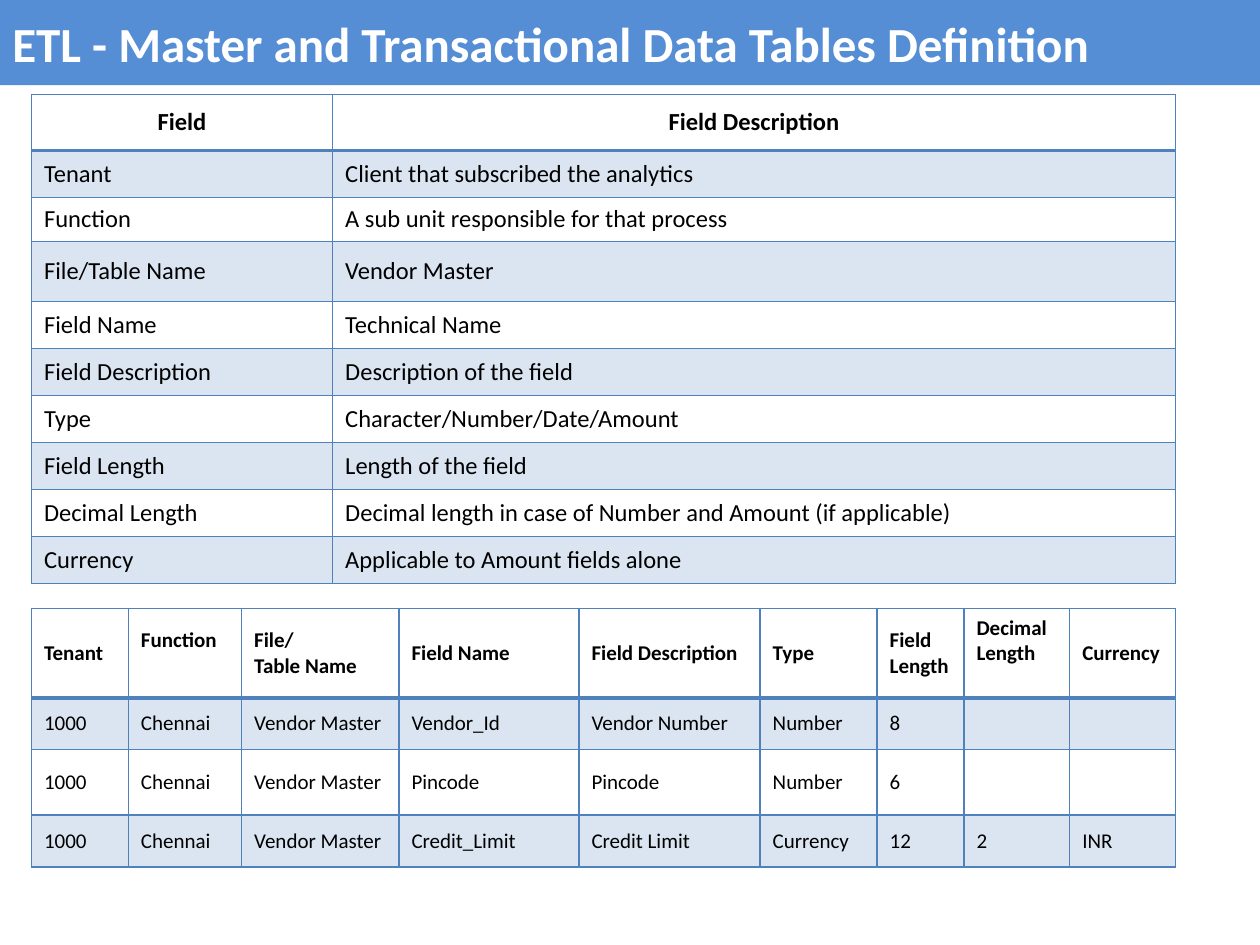
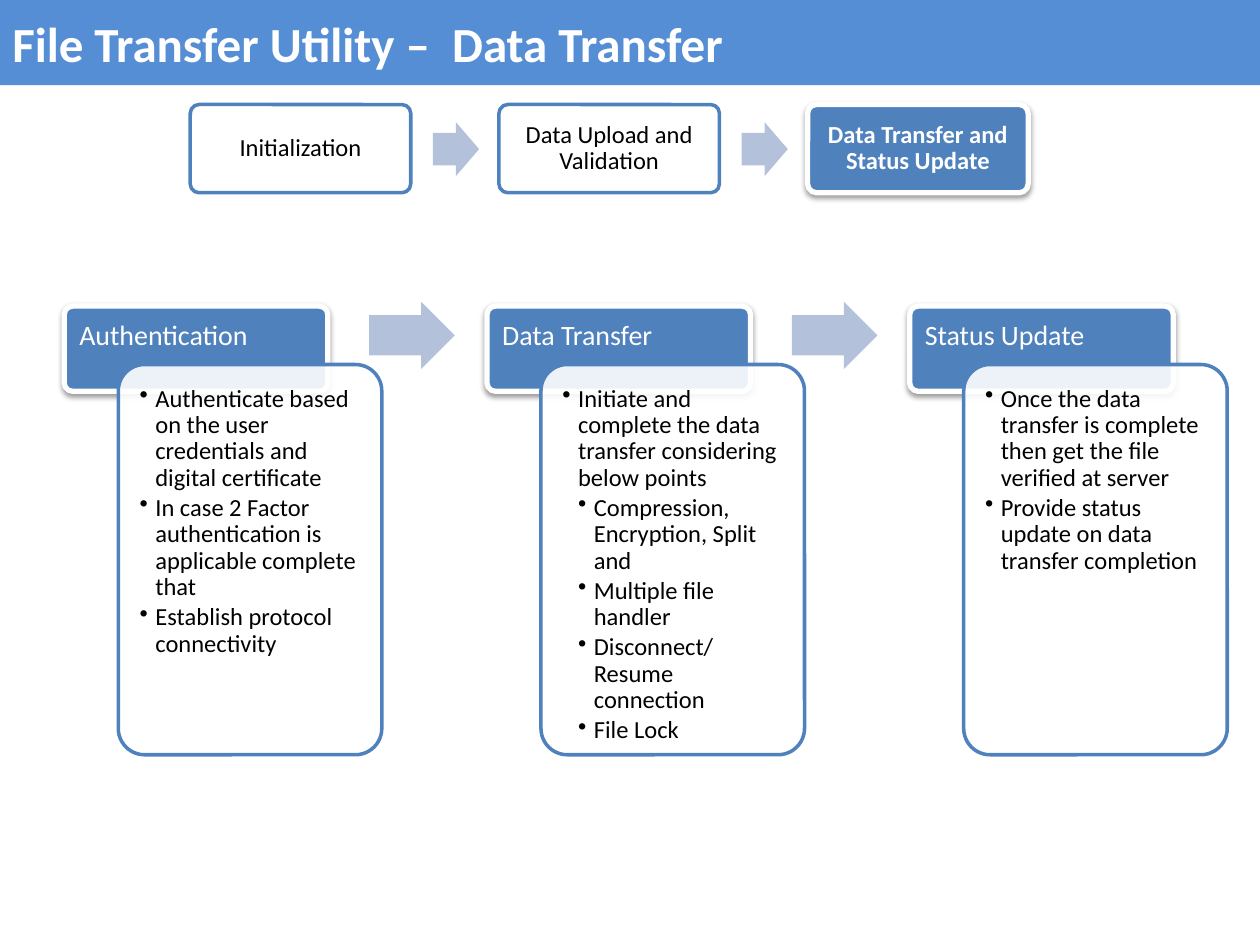
from typing import NamedTuple

from lxml.etree import SubElement
from pptx import Presentation
from pptx.dml.color import RGBColor
from pptx.enum.shapes import MSO_SHAPE
from pptx.enum.text import MSO_ANCHOR, PP_ALIGN
from pptx.oxml.ns import qn
from pptx.util import Inches, Pt

BAND = RGBColor(0x55, 0x8E, 0xD5)
ACCENT = RGBColor(0x4F, 0x81, 0xBD)
ARROW = RGBColor(0xB3, 0xC1, 0xDB)
WHITE = RGBColor(0xFF, 0xFF, 0xFF)
BLACK = RGBColor(0x00, 0x00, 0x00)
FONT = "Calibri"
UNIT = Inches(0.1)  # the slide is a grid of 100 columns by 75 rows


class Box(NamedTuple):
    """A rectangle in grid columns and rows."""
    left: float
    top: float
    width: float
    height: float

    def portion(self, x, y, width, height):
        """Return the box at the given shares of this one."""
        return Box(self.left + x * self.width, self.top + y * self.height,
                   width * self.width, height * self.height)

    def inset(self, margin):
        """Return this box shrunk by a margin on every side."""
        return Box(self.left + margin, self.top + margin,
                   self.width - 2 * margin, self.height - 2 * margin)

    def columns(self, count, width):
        """Return equally spaced boxes of one width that fill this one."""
        pitch = (self.width - width) / (count - 1)
        return [Box(self.left + i * pitch, self.top, width, self.height)
                for i in range(count)]

    def emu(self):
        """Return left, top, width and height as slide lengths."""
        return [round(length * UNIT) for length in self]


SLIDE = Box(0, 0, 100, 75)
FIELDS = Box(2.5, 7.5, 90.8, 38.8)
EXAMPLE = Box(2.5, 48.3, 90.8, 20.5)
STEPS = Box(15.1, 8.3, 66.5, 7)
STAGES = Box(5.1, 24.3, 92.3, 35.6)

FIELD_ROWS = [
    ("Field", "Field Description"),
    ("Tenant ", "Client that subscribed the analytics"),
    ("Function", "A sub unit responsible for that process"),
    ("File/Table Name", "Vendor Master"),
    ("Field Name", "Technical Name"),
    ("Field Description", "Description of the field"),
    ("Type", "Character/Number/Date/Amount"),
    ("Field Length", "Length of the field"),
    ("Decimal Length", "Decimal length in case of Number and Amount (if applicable)"),
    ("Currency", "Applicable to Amount fields alone"),
]
EXAMPLE_ROWS = [
    ("Tenant ", "Function", "File/\nTable Name", "Field Name", "Field Description",
     "Type", "Field \nLength", "Decimal Length", "Currency"),
    ("1000", "Chennai", "Vendor Master", "Vendor_Id", "Vendor Number",
     "Number", "8", "", ""),
    ("1000", "Chennai", "Vendor Master", "Pincode", "Pincode ",
     "Number", "6", "", ""),
    ("1000", "Chennai", "Vendor Master", "Credit_Limit", "Credit Limit",
     "Currency", "12", "2", "INR"),
]
STEP_NAMES = ["Initialization", "Data Upload and Validation",
              "Data Transfer and Status Update"]
STAGE_POINTS = {  # each point is (level, wording)
    "Authentication": [
        (1, "Authenticate based on the user credentials and digital certificate"),
        (1, "In case 2 Factor authentication is applicable complete that"),
        (1, "Establish protocol connectivity "),
    ],
    "Data Transfer": [
        (1, "Initiate and complete the data transfer considering below points"),
        (2, "Compression, Encryption, Split and"),
        (2, "Multiple file handler"),
        (2, "Disconnect/Resume connection"),
        (2, "File Lock"),
    ],
    "Status Update": [
        (1, "Once the data transfer is complete then get the file verified at server"),
        (1, "Provide status update on data transfer completion"),
    ],
}


def style(paragraph, size, color=BLACK, bold=False):
    """Set the font of a whole paragraph."""
    font = paragraph.font
    font.name, font.size, font.bold = FONT, Pt(size), bold
    font.color.rgb = color


def set_opacity(properties, percent):
    """Make the solid fill of a shape or cell partly transparent."""
    color = properties.find(qn("a:solidFill")).find(qn("a:srgbClr"))
    SubElement(color, qn("a:alpha"), val=str(percent * 1000))


def add_shadow(shape):
    """Give a shape a soft shadow straight below it."""
    effects = shape._element.spPr.find(qn("a:effectLst"))
    shadow = SubElement(effects, qn("a:outerShdw"), blurRad=str(Pt(3.1)),
                        dist=str(Pt(1.6)), dir="5400000", rotWithShape="0")
    color = SubElement(shadow, qn("a:srgbClr"), val=str(BLACK))
    SubElement(color, qn("a:alpha"), val="38000")


def add_bullet(paragraph, level):
    """Hang a bullet in front of a paragraph."""
    properties = paragraph._p.get_or_add_pPr()
    properties.set("marL", str(Inches(0.125 * level)))
    properties.set("indent", str(-Inches(0.125)))
    SubElement(properties, qn("a:buChar"), char="•")


def add_border(cell, side, width):
    """Draw one side of a cell's border."""
    line = SubElement(cell._tc.get_or_add_tcPr(), qn(f"a:ln{side}"), w=str(Pt(width)))
    fill = SubElement(line, qn("a:solidFill"))
    SubElement(fill, qn("a:srgbClr"), val=str(ACCENT))


def add_filled(slide, preset, box, fill, adjustments=()):
    """Add a plain filled shape without outline or shadow."""
    shape = slide.shapes.add_shape(preset, *box.emu())
    shape.shadow.inherit = False
    shape.fill.solid()
    shape.fill.fore_color.rgb = fill
    shape.line.fill.background()
    for i, value in enumerate(adjustments):
        shape.adjustments[i] = value
    return shape


def add_card(slide, box, raised):
    """Add a rounded card: raised and blue, or white with a blue outline."""
    card = add_filled(slide, MSO_SHAPE.ROUNDED_RECTANGLE, box,
                      ACCENT if raised else WHITE, [0.1])
    card.line.color.rgb = WHITE if raised else ACCENT
    card.line.width = Pt(3 if raised else 2)
    if raised:
        add_shadow(card)
    return card


def add_arrow(slide, box):
    """Add a pale arrow that leads to the next card."""
    add_filled(slide, MSO_SHAPE.RIGHT_ARROW, box, ARROW, [0.6, 0.5])


def add_text(slide, box, margin, anchor=MSO_ANCHOR.TOP):
    """Add a wrapping text box with equal margins and return its frame."""
    frame = slide.shapes.add_textbox(*box.emu()).text_frame
    frame.word_wrap = True
    frame.vertical_anchor = anchor
    frame.margin_left = frame.margin_right = Inches(margin)
    frame.margin_top = frame.margin_bottom = Inches(margin)
    return frame


def add_titled_slide(deck, title):
    """Add a blank slide with the blue title band."""
    slide = deck.slides.add_slide(deck.slide_layouts[6])
    band = add_filled(slide, MSO_SHAPE.RECTANGLE, SLIDE.portion(0, 0, 1, 0.09), BAND)
    band.text_frame.word_wrap = True
    band.text_frame.vertical_anchor = MSO_ANCHOR.MIDDLE
    heading = band.text_frame.paragraphs[0]
    heading.text = title
    heading.alignment = PP_ALIGN.LEFT
    style(heading, 28, WHITE, True)
    return slide


def add_grid_table(slide, box, rows, widths, heights, size, header_align):
    """Add a banded table whose columns and rows share out the box."""
    table = slide.shapes.add_table(len(rows), len(widths), *box.emu()).table
    table.first_row = table.horz_banding = False
    for column, share in zip(table.columns, widths):
        column.width = round(box.width * UNIT * share / sum(widths))
    for row, share in zip(table.rows, heights):
        row.height = round(box.height * UNIT * share / sum(heights))
    for r, wording in enumerate(rows):
        for c, words in enumerate(wording):
            cell = table.cell(r, c)
            cell.text = words
            cell.vertical_anchor = MSO_ANCHOR.MIDDLE
            for paragraph in cell.text_frame.paragraphs:
                style(paragraph, size, bold=r == 0)
                paragraph.alignment = header_align if r == 0 else PP_ALIGN.LEFT
            for side in "LRTB":
                thick = (r, side) in ((0, "B"), (1, "T"))
                add_border(cell, side, 2 if thick else 1)
            if r % 2:
                cell.fill.solid()
                cell.fill.fore_color.rgb = ACCENT
                set_opacity(cell._tc.tcPr, 20)
            else:
                cell.fill.background()
    return table


def add_steps(slide, box, names):
    """Add the row of process steps; the last one is the current step."""
    boxes = box.columns(len(names), 17.5)
    for step, name in zip(boxes, names):
        current = step is boxes[-1]
        add_card(slide, step, current)
        frame = add_text(slide, step.inset(0.2), 0.06, MSO_ANCHOR.MIDDLE)
        label = frame.paragraphs[0]
        label.text = name
        label.alignment = PP_ALIGN.CENTER
        label.line_spacing = 0.9
        style(label, 14, WHITE if current else BLACK, current)
        if not current:
            add_arrow(slide, step.portion(1.1, 0.2, 0.21, 0.61))


def add_stage(slide, box, name, points):
    """Add one stage: a raised heading card overlapped by its points."""
    add_card(slide, box.portion(0, 0, 0.83, 0.19), True)
    frame = add_text(slide, box.portion(0, 0, 0.83, 0.13), 0.12)
    heading = frame.paragraphs[0]
    heading.text = name
    heading.line_spacing = 0.9
    style(heading, 16, WHITE)

    panel = box.portion(0.17, 0.13, 0.83, 0.87)
    set_opacity(add_card(slide, panel, False)._element.spPr, 90)
    frame = add_text(slide, panel.inset(0.6), 0.11)
    for i, (level, wording) in enumerate(points):
        point = frame.add_paragraph() if i else frame.paragraphs[0]
        point.text = wording
        point.line_spacing = 0.9
        point.space_after = Pt(2)
        add_bullet(point, level)
        style(point, 14)


def add_stages(slide, box, stages):
    """Add the stages side by side with arrows between them."""
    boxes = box.columns(len(stages), 25.2)
    for stage, (name, points) in zip(boxes, stages.items()):
        add_stage(slide, stage, name, points)
        if stage is not boxes[-1]:
            add_arrow(slide, stage.portion(0.96, -0.01, 0.27, 0.15))


deck = Presentation()
deck.slide_width, deck.slide_height = SLIDE.emu()[2:]

definition = add_titled_slide(deck, "ETL - Master and Transactional Data Tables Definition")
add_grid_table(definition, FIELDS, FIELD_ROWS, [2.39, 6.69],
               [0.44, 0.37, 0.35, 0.47] + [0.37] * 6, 14, PP_ALIGN.CENTER)
example = add_grid_table(definition, EXAMPLE, EXAMPLE_ROWS,
                         [0.77, 0.9, 1.25, 1.43, 1.44, 0.93, 0.69, 0.84, 0.84],
                         [0.71, 0.41, 0.52, 0.41], 12, PP_ALIGN.LEFT)
for raised_column in (1, 7):
    example.cell(0, raised_column).margin_bottom = Inches(0.25)

transfer = add_titled_slide(deck, "File Transfer Utility –  Data Transfer")
add_stages(transfer, STAGES, STAGE_POINTS)
add_steps(transfer, STEPS, STEP_NAMES)

deck.save("out.pptx")
